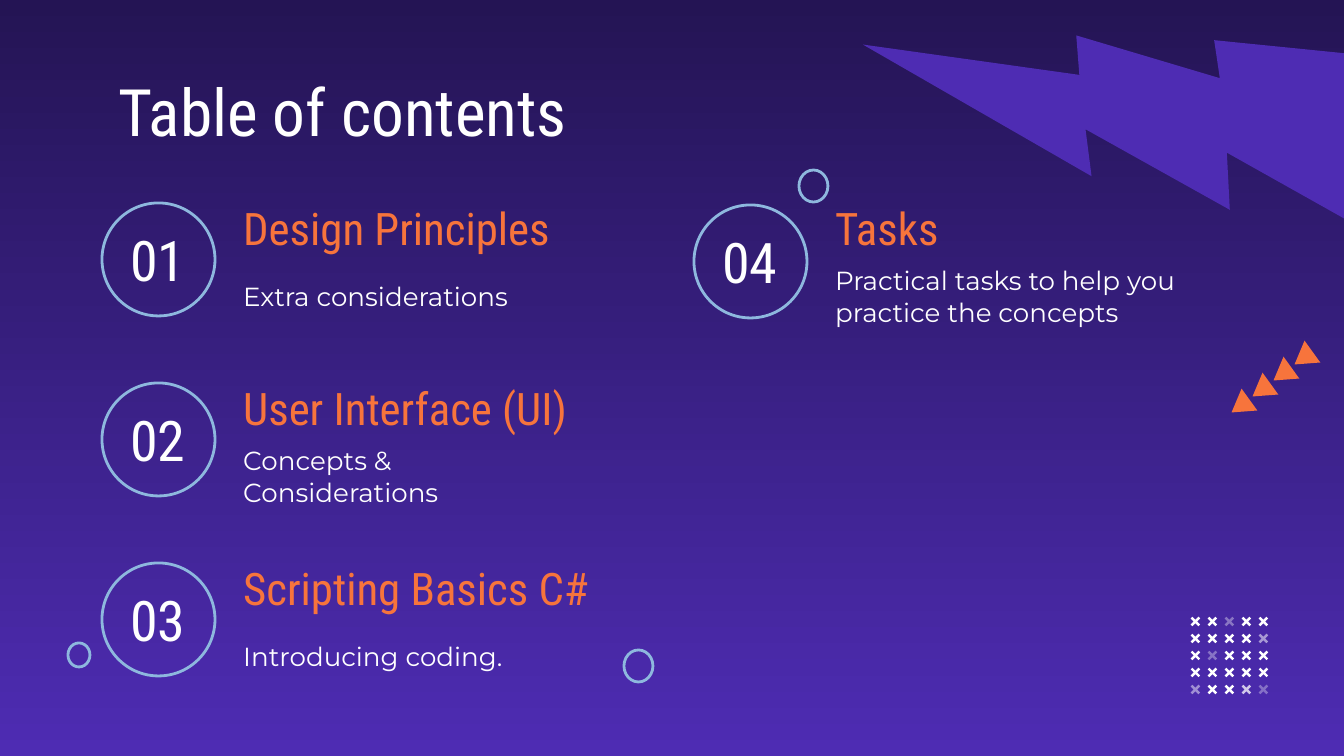
from lxml import etree
from pptx import Presentation
from pptx import util as u
from pptx.dml.color import RGBColor
from pptx.enum import shapes, text
from pptx.oxml import ns

PX = 914400 / 134.4
FORM = shapes.MSO_SHAPE
ALIGN = text.PP_ALIGN
WHITE, ORANGE, BLUE, VIOLET = "FFFFFF", "F7743C", "8EB8DE", "4E2CB3"
HEAD, BODY = "Roboto Condensed", "Montserrat"
hue = RGBColor.from_string

deck = Presentation()
deck.slide_width, deck.slide_height = u.Emu(round(1344 * PX)), u.Emu(round(756 * PX))
slide = deck.slides.add_slide(deck.slide_layouts[5])


def draw(form, box, fill=None, line=None, turn=0):
    shape = slide.shapes.add_shape(form, *[round(n * PX) for n in box])
    shape.shadow.inherit = False
    shape.rotation = turn
    if fill:
        shape.fill.solid()
        shape.fill.fore_color.rgb = hue(fill)
    else:
        shape.fill.background()
    if line:
        shape.line.color.rgb = hue(line)
        shape.line.width = u.Pt(1.5)
    else:
        shape.line.fill.background()
    return shape


def write(words, box, size, color, font=HEAD, align=ALIGN.LEFT, holder=None):
    place = [round(n * PX) for n in box]
    item = holder or slide.shapes.add_textbox(*place)
    item.left, item.top, item.width, item.height = place
    frame = item.text_frame
    frame.text = words
    frame.word_wrap = True
    frame.auto_size = text.MSO_AUTO_SIZE.NONE
    frame.vertical_anchor = text.MSO_ANCHOR.TOP if holder else text.MSO_ANCHOR.MIDDLE
    frame.margin_left = frame.margin_right = u.Inches(0.1)
    frame.margin_top = frame.margin_bottom = u.Inches(0.1)
    para = frame.paragraphs[0]
    para.alignment = align
    for run in para.runs:
        run.font.size = u.Pt(size)
        run.font.name = font
        run.font.color.rgb = hue(color)


# Background, dark at the top
back = slide.background.fill
back.gradient()
back.gradient_angle = 270
for stop, color, spot in zip(back.gradient_stops, ("241454", VIOLET), (0, 1)):
    stop.color.rgb = hue(color)
    stop.position = spot

# Lightning bolt
bolt = draw(FORM.LIGHTNING_BOLT, (941, -91, 426, 426), VIOLET, turn=59.9)
bolt._element.spPr.xfrm.set("flipH", "1")

# Title
write("Table of contents", (105, 58, 1133, 86), 35, WHITE, holder=slide.shapes.title)

# Contents, three rows to a column
topics = [
    ("Design Principles", "Extra considerations"),
    ("User Interface (UI)", "Concepts & Considerations"),
    ("Scripting Basics C#", "Introducing coding."),
    ("Tasks", "Practical tasks to help you practice the concepts"),
]
for i, (name, note) in enumerate(topics):
    col, row = divmod(i, 3)
    x, y = 102 + 592 * col, 203 + 180 * row
    ring = y + 2 * col
    draw(FORM.OVAL, (x, ring, 113, 113), line=BLUE)
    write(f"{i + 1:02}", (x - 4, ring - 8, 120, 129), 30, WHITE, align=ALIGN.CENTER)
    write(name, (x + 128, y, 458, 50), 24, ORANGE)
    write(note, (x + 128, y + 50, 371, 86), 14, WHITE, BODY)

# Grid of crosses, some faded (opacity in percent by row and column)
faded = {(0, 2): 36, (1, 4): 53, (2, 1): 34, (4, 0): 48, (4, 3): 75, (4, 4): 33}
for row in range(5):
    for col in range(5):
        cross = draw(FORM.CROSS, (1190 + 17 * col, 616 + 17 * row, 11, 11), WHITE, turn=315)
        cross.adjustments[0] = 0.39
        if (row, col) in faded:
            tint = cross._element.spPr.find(".//" + ns.qn("a:srgbClr"))
            alpha = etree.SubElement(tint, ns.qn("a:alpha"))
            alpha.set("val", str(faded[row, col] * 1000))

# Small rings
for box in ((68, 643, 22, 24), (799, 170, 29, 32), (624, 650, 29, 32)):
    draw(FORM.OVAL, box, line=BLUE)

# Trail of triangles
for i in range(4):
    draw(FORM.ISOSCELES_TRIANGLE, (1290 - 21 * i, 347 + 16 * i, 27, 22), ORANGE, turn=234.2)

deck.save("out.pptx")
